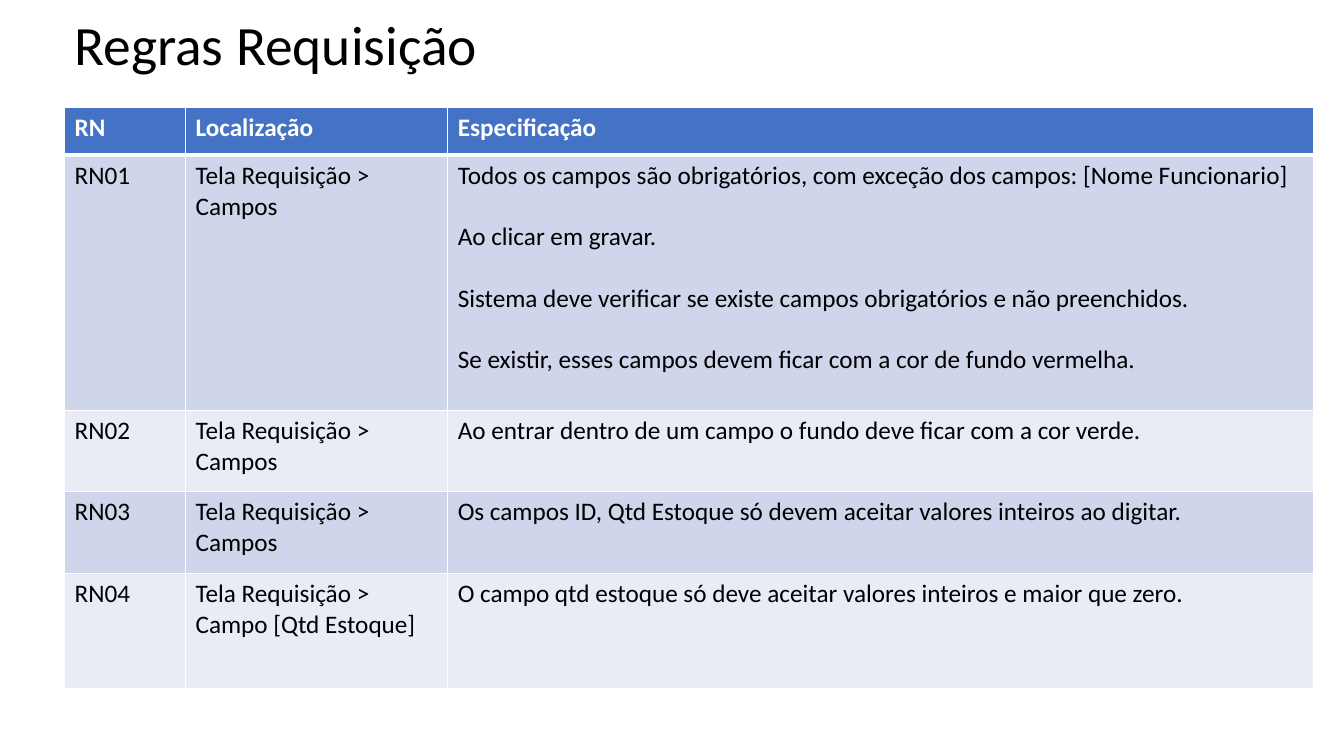
import pptx
import pptx.util
import pptx.dml.color
import pptx.enum.text
import pptx.oxml.ns
import lxml.etree

Inches, Pt = pptx.util.Inches, pptx.util.Pt
FONT = "Calibri"
COLORS = {
    "text": "000000",
    "header": "4472C4",
    "odd": "CFD5EA",
    "even": "E9EBF5",
    "white": "FFFFFF",
}
COLUMN_WIDTHS = [1.2, 2.6, 8.59]
ROW_HEIGHTS = [0.47, 2.53, 0.81, 0.81, 1.14]
RULES = [
    ("RN", "Localização", ["Especificação"]),
    ("RN01", "Tela Requisição > Campos", [
        "Todos os campos são obrigatórios, com exceção dos campos: [Nome Funcionario]",
        "Ao clicar em gravar.",
        "Sistema deve verificar se existe campos obrigatórios e não preenchidos.",
        "Se existir, esses campos devem ficar com a cor de fundo vermelha.",
    ]),
    ("RN02", "Tela Requisição > Campos",
     ["Ao entrar dentro de um campo o fundo deve ficar com a cor verde."]),
    ("RN03", "Tela Requisição > Campos",
     ["Os campos ID, Qtd Estoque só devem aceitar valores inteiros ao digitar."]),
    ("RN04", "Tela Requisição > Campo [Qtd Estoque]",
     ["O campo qtd estoque só deve aceitar valores inteiros e maior que zero."]),
]


def rgb(name):
    return pptx.dml.color.RGBColor.from_string(COLORS[name])


def add_run(paragraph, text, size, color, bold=False):
    run = paragraph.add_run()
    run.text = text
    run.font.name = FONT
    run.font.size = Pt(size)
    run.font.bold = bold
    run.font.color.rgb = rgb(color)


def add_border(cell, side, width):
    qn = pptx.oxml.ns.qn
    properties = cell._tc.get_or_add_tcPr()
    line = lxml.etree.SubElement(properties, qn(f"a:ln{side}"), w=str(Pt(width)))
    fill = lxml.etree.SubElement(line, qn("a:solidFill"))
    lxml.etree.SubElement(fill, qn("a:srgbClr"), val=COLORS["white"])


def fill_cell(cell, paragraphs, row):
    for side in "LRTB":
        thick = (row, side) in [(0, "B"), (1, "T")]
        add_border(cell, side, 3 if thick else 1)
    background = "header" if row == 0 else "odd" if row % 2 else "even"
    cell.fill.solid()
    cell.fill.fore_color.rgb = rgb(background)
    for index, text in enumerate(paragraphs):
        frame = cell.text_frame
        paragraph = frame.add_paragraph() if index else frame.paragraphs[0]
        paragraph.space_before = Pt(22 if index else 0)
        add_run(paragraph, text, 18, "white" if row == 0 else "text", row == 0)


def add_title(slide, left, top, width, height):
    title = slide.shapes.add_textbox(Inches(left), Inches(top), Inches(width), Inches(height))
    frame = title.text_frame
    frame.word_wrap = True
    frame.vertical_anchor = pptx.enum.text.MSO_ANCHOR.MIDDLE
    frame.paragraphs[0].line_spacing = 0.9
    add_run(frame.paragraphs[0], "Regras Requisição", 39.6, "text")


def add_rules(slide, left, top, width, height):
    rules = slide.shapes.add_table(
        len(RULES), len(COLUMN_WIDTHS),
        Inches(left), Inches(top), Inches(width), Inches(height)).table
    for column, share in zip(rules.columns, COLUMN_WIDTHS):
        column.width = Inches(width * share / sum(COLUMN_WIDTHS))
    for row, share in zip(rules.rows, ROW_HEIGHTS):
        row.height = Inches(height * share / sum(ROW_HEIGHTS))
    for row, (code, location, specification) in enumerate(RULES):
        for column, paragraphs in enumerate([[code], [location], specification]):
            fill_cell(rules.cell(row, column), paragraphs, row)


presentation = pptx.Presentation()
presentation.slide_width = Inches(13.33)
presentation.slide_height = Inches(7.5)
slide = presentation.slides.add_slide(presentation.slide_layouts[6])
add_title(slide, 0.64, 0.19, 11.5, 0.56)
add_rules(slide, 0.64, 1.07, 12.39, 5.76)
presentation.save("out.pptx")
